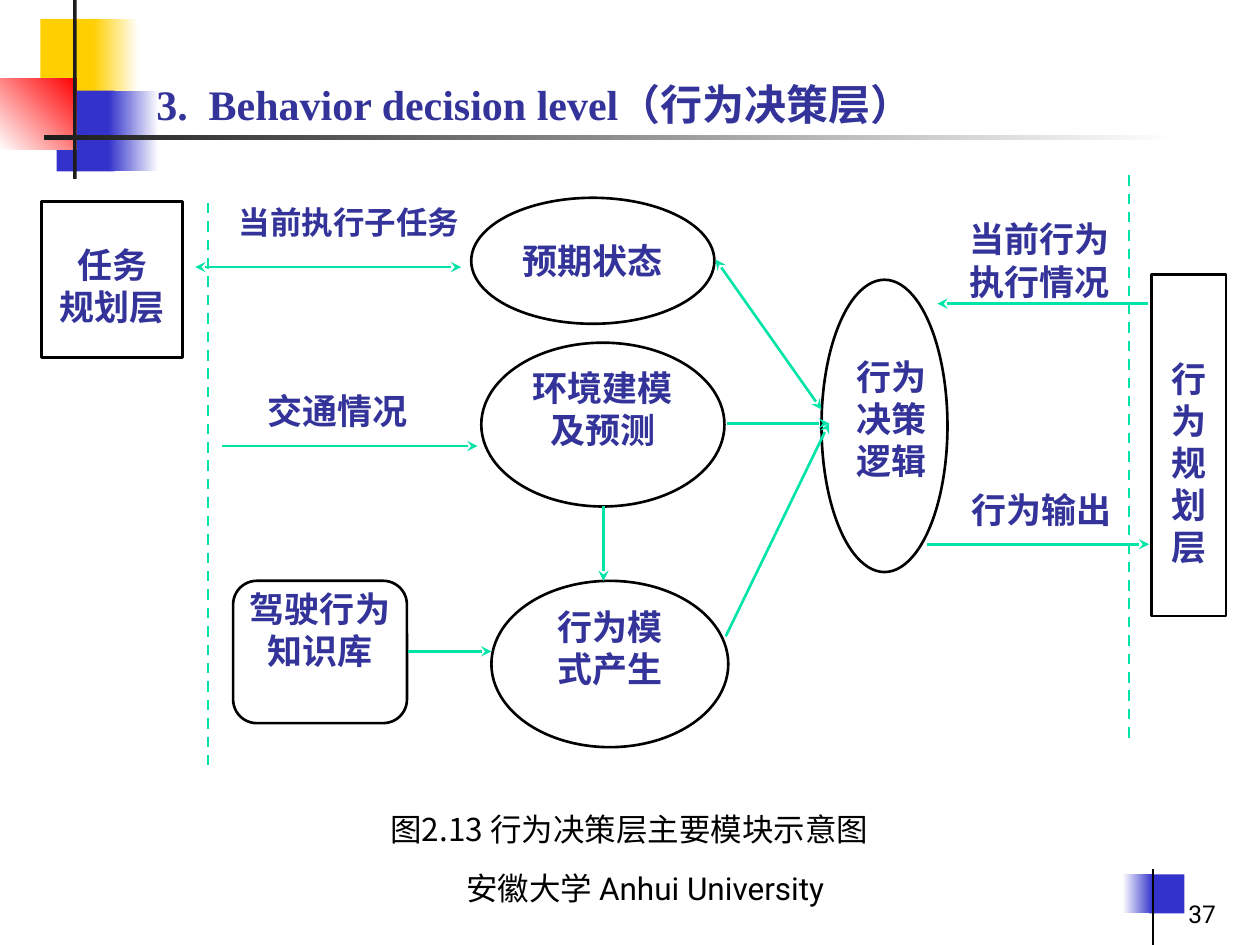
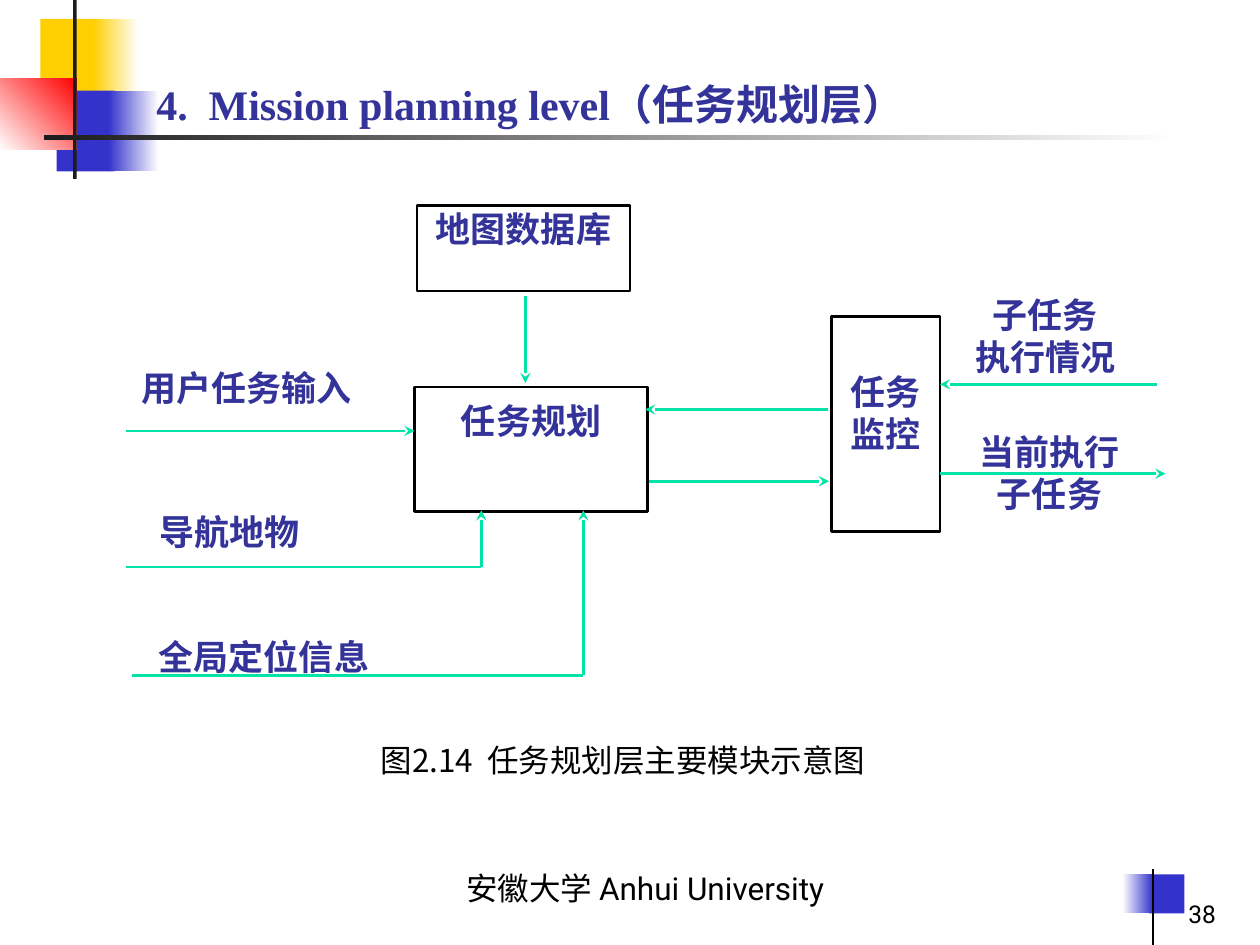
from lxml import etree
from pptx import Presentation
from pptx.dml.color import RGBColor
from pptx.enum import dml, shapes, text
from pptx.oxml.ns import qn
from pptx.util import Inches, Pt

NAVY, TEAL, BLACK, WHITE = "333399", "00E4A8", "000000", "FFFFFF"
YELLOW, BLUE, RED, CHARCOAL = "FFCF01", "3333CC", "FF0000", "1C1C1C"
SERIF, SANS, CJK = "Times New Roman", "Roboto", "Noto Sans CJK SC"
LINE = 0.33  # height of one 20-point line, in inches
TOP, MIDDLE, BOTTOM = (text.MSO_ANCHOR.TOP, text.MSO_ANCHOR.MIDDLE,
                       text.MSO_ANCHOR.BOTTOM)
LEFT, CENTER, RIGHT = (text.PP_ALIGN.LEFT, text.PP_ALIGN.CENTER,
                       text.PP_ALIGN.RIGHT)
RECT, OVAL, ROUNDED = (shapes.MSO_SHAPE.RECTANGLE, shapes.MSO_SHAPE.OVAL,
                       shapes.MSO_SHAPE.ROUNDED_RECTANGLE)


def rgb(value):
    return RGBColor.from_string(value)


def inches(*lengths):
    return [Inches(length) for length in lengths]


class Deck:
    """Holds the shared style and the slide being drawn."""

    def __init__(self):
        self.prs = Presentation()
        self.prs.slide_width, self.prs.slide_height = inches(10, 7.5)
        self.slide = None

    def new_slide(self, heading, number):
        self.slide = self.prs.slides.add_slide(self.prs.slide_layouts[5])
        self.decorate()
        self.label("安徽大学 Anhui University", (1.93, 6.75, 6.38, 0.5), size=18,
                   font=SANS, color=BLACK, bold=False, anchor=BOTTOM,
                   insets=(0.1, 0.05))
        self.label(str(number), (7.67, 6.9, 2.08, 0.52), size=14, font=SANS,
                   color=BLACK, bold=False, anchor=BOTTOM, align=RIGHT,
                   insets=(0.1, 0.05))
        title = self.slide.shapes.title
        title.left, title.top, title.width, title.height = inches(
            1.14, 0.57, 6.85, 0.5)
        self.set_text(title, heading, size=24, align=LEFT, insets=(0.1, 0.05))
        # Bring the title in front of the corner blocks
        self.slide.shapes._spTree.append(title._element)

    def decorate(self):
        # Corner blocks, title rule and page-number mark
        self.block((0.32, 0.15, 0.48, 0.64), YELLOW)
        self.block((0.74, 0.15, 0.36, 0.64), YELLOW, WHITE)
        self.block((0.45, 0.72, 0.46, 0.64), BLUE)
        self.block((0.86, 0.72, 0.4, 0.64), BLUE, WHITE)
        self.block((0, 0.62, 0.61, 0.57), WHITE, RED, angle=45)
        self.block((0.58, 0, 0.03, 1.42), CHARCOAL)
        self.block((0.35, 1.07, 9, 0.04), CHARCOAL, WHITE)
        self.block((9.12, 6.94, 0.28, 0.31), BLUE)
        self.block((8.91, 6.94, 0.24, 0.31), WHITE, BLUE)
        self.line((9.15, 6.9), (9.15, 7.5), color=BLACK, width=0.75)

    def block(self, box, color, fade_to=None, angle=0):
        block = self.slide.shapes.add_shape(RECT, *inches(*box))
        block.shadow.inherit = False
        block.line.fill.background()
        if fade_to is None:
            block.fill.solid()
            block.fill.fore_color.rgb = rgb(color)
            return
        block.fill.gradient()
        block.fill.gradient_angle = angle
        for stop, shade in zip(block.fill.gradient_stops, (color, fade_to)):
            stop.color.rgb = rgb(shade)

    def set_text(self, shape, content, size=20, font=SERIF, color=NAVY,
                 bold=True, align=CENTER, anchor=TOP, insets=(0.04, 0), drop=0):
        frame = shape.text_frame
        frame.text = content
        frame.word_wrap = True
        frame.auto_size = text.MSO_AUTO_SIZE.NONE
        frame.vertical_anchor = anchor
        side, edge = insets
        frame.margin_left = frame.margin_right = Inches(side)
        frame.margin_top, frame.margin_bottom = inches(edge + drop, edge)
        for paragraph in frame.paragraphs:
            paragraph.alignment = align
            style = paragraph.font
            style.size, style.name, style.bold = Pt(size), font, bold
            style.color.rgb = rgb(color)
            etree.SubElement(style._rPr, qn("a:ea"), typeface=CJK)

    def label(self, content, box, **style):
        label = self.slide.shapes.add_textbox(*inches(*box))
        self.set_text(label, content, **style)

    def caption(self, content, box):
        self.label(content, box, size=18, font=CJK, color=BLACK, bold=False,
                   insets=(0, 0))

    def node(self, content, box, kind=RECT, **style):
        node = self.slide.shapes.add_shape(kind, *inches(*box))
        node.shadow.inherit = False
        node.fill.solid()
        node.fill.fore_color.rgb = rgb(WHITE)
        node.line.color.rgb = rgb(BLACK)
        node.line.width = Pt(1.5)
        if content:
            self.set_text(node, content, **style)

    def line(self, start, end, color=TEAL, width=1.5, dashed=False, heads=()):
        line = self.slide.shapes.add_connector(
            shapes.MSO_CONNECTOR.STRAIGHT, *inches(*start, *end))
        line.line.color.rgb = rgb(color)
        line.line.width = Pt(width)
        if dashed:
            line.line.dash_style = dml.MSO_LINE.DASH
        outline = line.line._get_or_add_ln()
        for head in heads:
            etree.SubElement(outline, qn(f"a:{head}"), type="stealth")
        etree.SubElement(line._element.spPr, qn("a:effectLst"))

    def arrow(self, *points, both=False):
        """Draws straight lines through the points, with the head at the last."""
        for start, end in zip(points, points[1:]):
            heads = ["headEnd"] if both else []
            if end == points[-1]:
                heads.append("tailEnd")
            self.line(start, end, heads=heads)


def behavior_slide(deck):
    deck.new_slide("3.  Behavior decision level（行为决策层）", 37)

    # Modules
    deck.node("", (6.52, 2.22, 1, 2.32), OVAL)
    deck.label("行为决策逻辑", (6.69, 2.49, 0.77, 1.66), drop=LINE)
    deck.node("预期状态", (3.74, 1.57, 1.93, 1), OVAL, anchor=MIDDLE)
    deck.node("环境建模\n及预测", (3.82, 2.72, 1.93, 1.3), OVAL)
    deck.node("行为模\n式产生", (3.9, 4.61, 1.88, 1.32), OVAL)
    deck.node("驾驶行为知识库", (1.85, 4.61, 1.38, 1.13), ROUNDED)
    deck.node("任务\n规划层", (0.33, 1.6, 1.12, 1.24), drop=LINE)
    deck.node("行为\n规划层", (9.14, 2.18, 0.59, 2.71), drop=2 * LINE)

    # Flow labels
    deck.label("当前执行子任务", (1.77, 1.61, 2, 0.63), size=18)
    deck.label("交通情况", (2.02, 3.09, 1.32, 0.53))
    deck.label("当前行为\n执行情况", (7.64, 1.73, 1.22, 1.02))
    deck.label("行为输出", (7.64, 3.88, 1.26, 0.62))

    # Flows
    deck.arrow((6.52, 3.25), (5.68, 2.06), both=True)
    deck.arrow((1.55, 2.12), (3.66, 2.12), both=True)
    for start, end in (
            ((4.79, 4.02), (4.79, 4.61)),
            ((5.77, 3.36), (6.58, 3.36)),
            ((5.76, 5.05), (6.58, 3.36)),
            ((3.24, 5.17), (3.9, 5.17)),
            ((1.76, 3.54), (3.79, 3.54)),
            ((7.36, 4.32), (9.12, 4.32)),
            ((9.11, 2.41), (7.44, 2.41))):
        deck.arrow(start, end)

    # Level boundaries
    for x, top in ((8.96, 1.39), (1.65, 1.61)):
        deck.line((x, top), (x, top + 4.52), dashed=True)

    deck.caption("图2.13 行为决策层主要模块示意图", (2.08, 6.43, 5.83, 0.54))


def mission_slide(deck):
    deck.new_slide("4.  Mission planning level（任务规划层）", 38)

    # Modules
    deck.node("地图数据库", (3.31, 1.63, 1.69, 0.68), insets=(0, 0), drop=0.02)
    deck.node("任务规划", (3.29, 3.07, 1.85, 0.99), insets=(0, 0), drop=0.1)
    deck.node("任务\n监控", (6.6, 2.51, 0.86, 1.71), insets=(0, 0),
              drop=0.1 + LINE)

    # Flow labels
    for content, box in (
            ("用户任务输入", (0.9, 2.91, 2.11, 0.58)),
            ("导航地物", (0.9, 4.05, 1.85, 0.61)),
            ("全局定位信息", (1.04, 5.04, 2.11, 0.57)),
            ("子任务\n执行情况", (7.59, 2.33, 1.41, 1)),
            ("当前执行\n子任务", (7.66, 3.42, 1.34, 1.03))):
        deck.label(content, box, insets=(0, 0))

    # Flows
    for points in (
            ((1, 3.42), (3.29, 3.42)),
            ((1, 4.5), (3.82, 4.5), (3.82, 4.05)),
            ((1.05, 5.36), (4.63, 5.36), (4.63, 4.05)),
            ((4.17, 2.35), (4.17, 3.04)),
            ((5.15, 3.82), (6.58, 3.82)),
            ((6.57, 3.25), (5.12, 3.25)),
            ((7.46, 3.76), (9.25, 3.76)),
            ((9.18, 3.05), (7.46, 3.05))):
        deck.arrow(*points)

    deck.caption("图2.14  任务规划层主要模块示意图", (1.38, 5.88, 7.13, 0.62))


def main():
    deck = Deck()
    behavior_slide(deck)
    mission_slide(deck)
    deck.prs.save("out.pptx")


if __name__ == "__main__":
    main()
